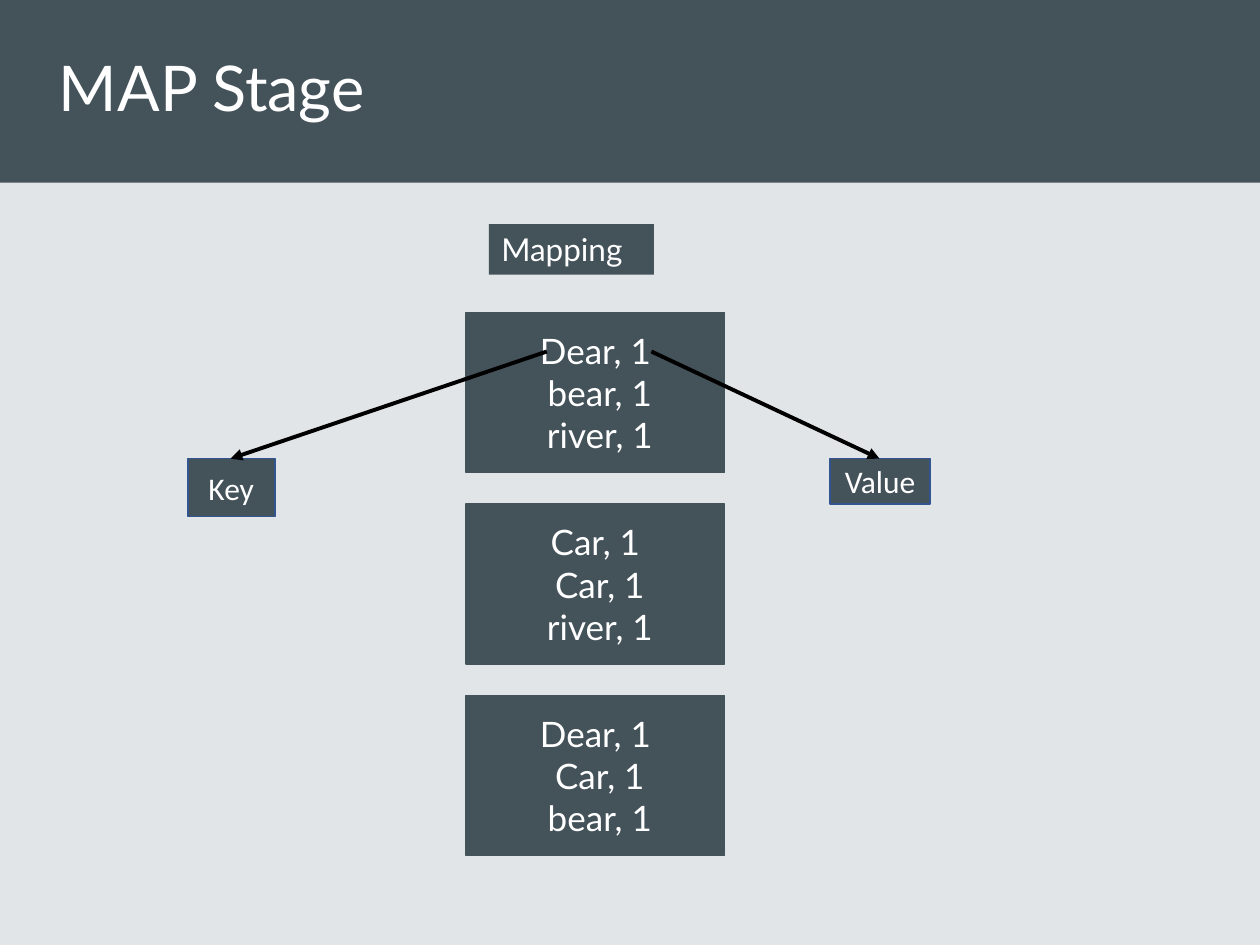
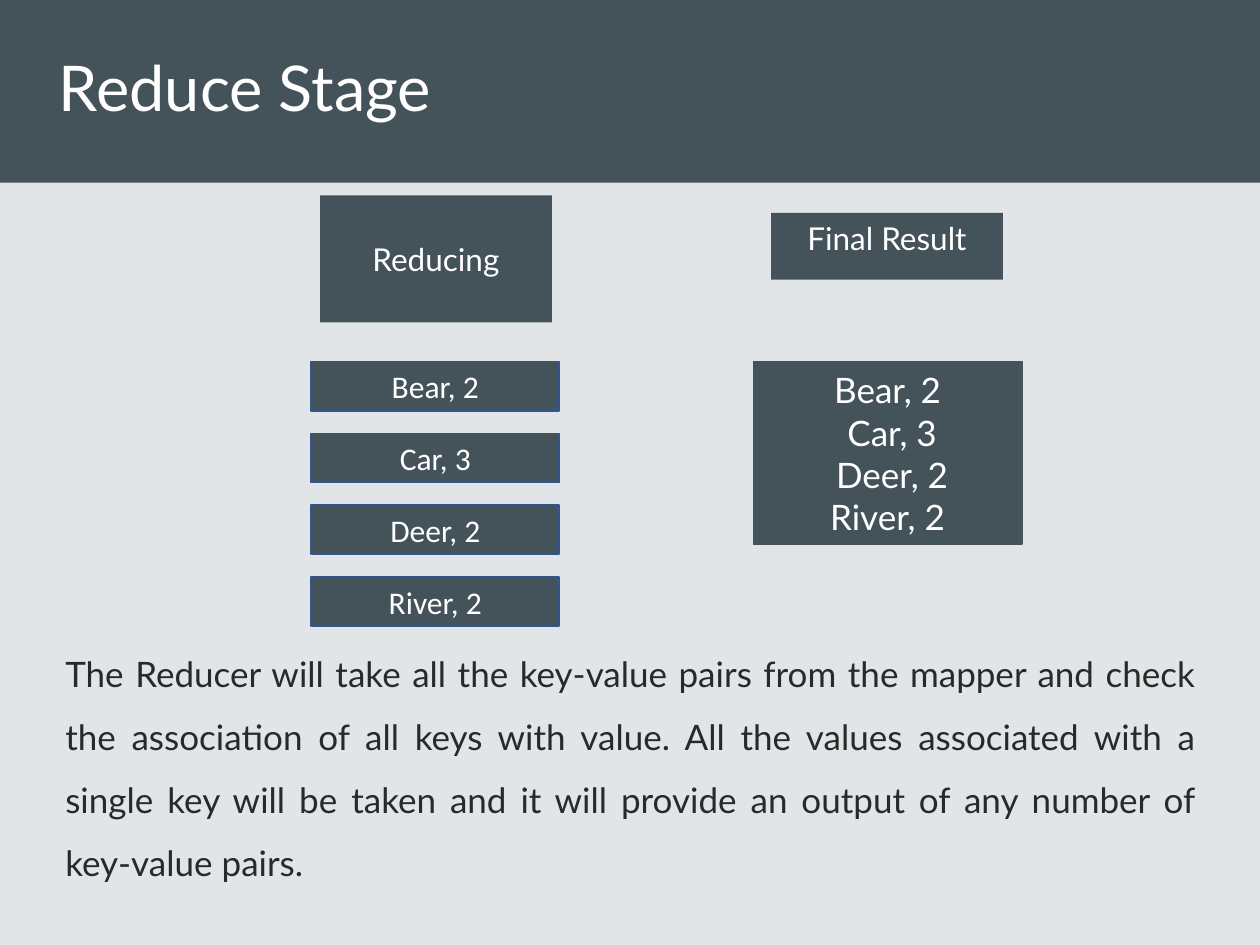
from lxml.etree import SubElement
from pptx import Presentation
from pptx.dml.color import RGBColor as Rgb
from pptx.enum.shapes import MSO_CONNECTOR as Link, MSO_SHAPE as Kind
from pptx.enum.text import MSO_ANCHOR as Anchor, PP_ALIGN as Align
from pptx.oxml.ns import qn
from pptx.util import Inches, Pt

SLATE = Rgb(0x44, 0x52, 0x5A)
PALE = Rgb(0xE2, 0xE5, 0xE7)
BLUE = Rgb(0x32, 0x54, 0x91)
INK = Rgb(0x29, 0x29, 0x29)
BLACK = Rgb(0, 0, 0)
WHITE = Rgb(255, 255, 255)
HEAD, PLAIN = "Lato", "Calibri"

WIDE, HIGH, BAND = 10, 7.5, 1.45
TITLE = (0.37, 0, 9.17, BAND)

# A leading space nudges a centred line, as the slides show.
MAPS = [
    ["Dear, 1", " bear, 1", " river, 1"],
    ["Car, 1", " Car, 1", " river, 1"],
    ["Dear, 1", " Car, 1", " bear, 1"],
]
MAP_TOP, MAP_STEP = 2.48, 1.52
# label, box, arrow start, arrow end
PARTS = [
    ("Key", (1.49, 3.64, 0.69, 0.46), (4.34, 2.79), (1.83, 3.64)),
    ("Value", (6.59, 3.64, 0.79, 0.36), (5.17, 2.79), (6.98, 3.64)),
]

SUMS = ["Bear, 2", "Car, 3", "Deer, 2", "River, 2"]
SUM_TOP, SUM_STEP = 2.87, 0.57
FINAL = ["Bear, 2", " Car, 3", " Deer, 2", "River, 2"]
NOTE = (
    "The Reducer will take all the key-value pairs from the mapper and "
    "check the association of all keys with value. All the values "
    "associated with a single key will be taken and it will provide an "
    "output of any number of key-value pairs."
)


def write(shape, lines, size, font=HEAD, color=WHITE, align=Align.CENTER,
          anchor=Anchor.MIDDLE, space=None):
    frame = shape.text_frame
    frame.word_wrap = True
    frame.vertical_anchor = anchor
    for i, line in enumerate(lines):
        para = frame.add_paragraph() if i else frame.paragraphs[0]
        para.alignment = align
        para.line_spacing = space
        run = para.add_run()
        run.text = line
        run.font.name = font
        run.font.size = Pt(size)
        run.font.color.rgb = color


def block(slide, area, edge=None):
    """Add a slate box, outlined if an edge colour is given."""
    shape = slide.shapes.add_shape(Kind.RECTANGLE, *map(Inches, area))
    shape.shadow.inherit = False
    shape.fill.solid()
    shape.fill.fore_color.rgb = SLATE
    if edge is None:
        shape.line.fill.background()
    else:
        shape.line.color.rgb = edge
        shape.line.width = Pt(1)
    return shape


def label(slide, text, area):
    write(block(slide, area, BLUE), [text], 18, PLAIN)


def group(slide, lines, area):
    write(block(slide, area, SLATE), lines, 20)


def arrow(slide, start, end):
    line = slide.shapes.add_connector(
        Link.STRAIGHT, *map(Inches, start + end))
    line.line.color.rgb = BLACK
    line.line.width = Pt(2.25)
    SubElement(line.line._get_or_add_ln(), qn("a:tailEnd"), type="triangle")
    SubElement(line._element.spPr, qn("a:effectLst"))


def start(deck, title):
    """Add a slide with the shared background, band and title."""
    slide = deck.slides.add_slide(deck.slide_layouts[6])
    slide.background.fill.solid()
    slide.background.fill.fore_color.rgb = PALE
    block(slide, (0, 0, WIDE, BAND))
    box = slide.shapes.add_textbox(*map(Inches, TITLE))
    write(box, [title], 36, align=Align.LEFT, space=0.9)
    return slide


def map_stage(deck):
    slide = start(deck, "MAP Stage")
    write(block(slide, (3.88, 1.78, 1.31, 0.4)), ["Mapping"], 18,
          align=Align.LEFT, anchor=Anchor.TOP)
    for i, lines in enumerate(MAPS):
        group(slide, lines, (3.7, MAP_TOP + i * MAP_STEP, 2.05, 1.27))
    for text, area, tail, tip in PARTS:
        label(slide, text, area)
        arrow(slide, tail, tip)


def reduce_stage(deck):
    slide = start(deck, "Reduce Stage")
    write(block(slide, (2.54, 1.55, 1.84, 1.01)), ["Reducing"], 18)
    for i, text in enumerate(SUMS):
        label(slide, text, (2.47, SUM_TOP + i * SUM_STEP, 1.97, 0.39))
    write(block(slide, (6.12, 1.69, 1.84, 0.53)), ["Final Result"], 18,
          anchor=Anchor.TOP)
    group(slide, FINAL, (5.98, SUM_TOP, 2.13, 1.45))
    box = slide.shapes.add_textbox(*map(Inches, (0.42, 4.96, 9.17, 2.05)))
    write(box, [NOTE], 20, color=INK, align=Align.JUSTIFY,
          anchor=Anchor.TOP, space=1.5)


def main():
    deck = Presentation()
    deck.slide_width, deck.slide_height = Inches(WIDE), Inches(HIGH)
    map_stage(deck)
    reduce_stage(deck)
    deck.save("out.pptx")


if __name__ == "__main__":
    main()
